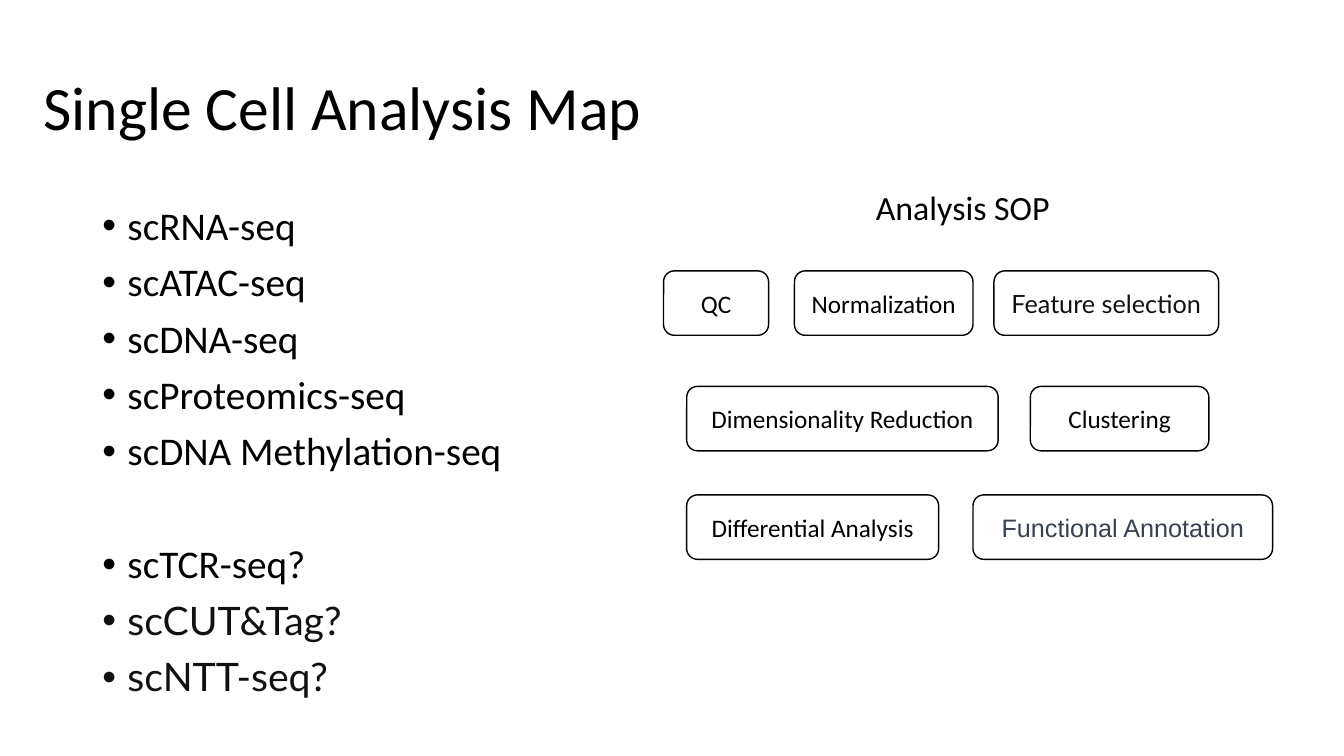
"""Build the Single Cell Analysis Map slide."""
from lxml import etree
from pptx import Presentation
from pptx.dml.color import RGBColor
from pptx.enum.shapes import MSO_SHAPE
from pptx.enum.text import MSO_ANCHOR, PP_ALIGN
from pptx.oxml.ns import qn
from pptx.util import Pt

ROUNDED = MSO_SHAPE.ROUNDED_RECTANGLE
TOP, MIDDLE = MSO_ANCHOR.TOP, MSO_ANCHOR.MIDDLE
CENTER = PP_ALIGN.CENTER
BLACK, WHITE = "000000", "FFFFFF"
BODY_FONT, ALT_FONT = "Calibri", "Lato"


def rgb(value):
    return RGBColor.from_string(value)


class Deck:
    def __init__(self):
        self.prs = Presentation()
        self.prs.slide_width, self.prs.slide_height = Pt(960), Pt(540)
        self.s = self.prs.slides.add_slide(self.prs.slide_layouts[6])

    def run(self, p, text, size, font=BODY_FONT, color=BLACK):
        r = p.add_run()
        r.text = text
        r.font.size = Pt(size)
        r.font.name = font
        r.font.color.rgb = rgb(color)

    def frame(self, x, y, w, h, anchor):
        tf = self.s.shapes.add_textbox(Pt(x), Pt(y), Pt(w), Pt(h)).text_frame
        tf.word_wrap = True
        tf.vertical_anchor = anchor
        return tf

    def text(self, x, y, w, h, text, size, spacing):
        p = self.frame(x, y, w, h, MIDDLE).paragraphs[0]
        p.line_spacing = spacing
        self.run(p, text, size)

    def bullets(self, x, y, w, h, items, size):
        tf = self.frame(x, y, w, h, TOP)
        for i, (text, before, font, color) in enumerate(items):
            p = tf.add_paragraph() if i else tf.paragraphs[0]
            p.line_spacing = 0.9
            p.space_before = Pt(before)
            pPr = p._p.get_or_add_pPr()
            pPr.set("marL", str(Pt(18)))
            pPr.set("indent", str(Pt(-18)))
            etree.SubElement(pPr, qn("a:buFont")).set("typeface", "Arial")
            etree.SubElement(pPr, qn("a:buChar")).set("char", "•")
            self.run(p, text, size, font, color)

    def box(self, x, y, w, h, text, font=BODY_FONT, color=BLACK):
        sp = self.s.shapes.add_shape(ROUNDED, Pt(x), Pt(y), Pt(w), Pt(h))
        sp.shadow.inherit = False
        sp.fill.solid()
        sp.fill.fore_color.rgb = rgb(WHITE)
        sp.line.color.rgb = rgb(BLACK)
        sp.line.width = Pt(1)
        tf = sp.text_frame
        tf.word_wrap = True
        tf.vertical_anchor = MIDDLE
        p = tf.paragraphs[0]
        p.alignment = CENTER
        self.run(p, text, 18, font, color)


METHODS = [
    ("scRNA-seq", 0, BODY_FONT, BLACK),
    ("scATAC-seq", 10, BODY_FONT, BLACK),
    ("scDNA-seq", 10, BODY_FONT, BLACK),
    ("scProteomics-seq", 10, BODY_FONT, BLACK),
    ("scDNA Methylation-seq", 10, BODY_FONT, BLACK),
    ("scTCR-seq?", 50.5, BODY_FONT, BLACK),
    ("scCUT&Tag?", 10, ALT_FONT, "111111"),
    ("scNTT-seq?", 10, ALT_FONT, "111111"),
]
STEP_ROWS = [
    (193.5, [(474, 75, "QC"), (567.5, 127.5, "Normalization"),
             (710, 160.5, "Feature selection", ALT_FONT, "121212")]),
    (276, [(490.5, 222.5, "Dimensionality Reduction"),
           (736, 127.5, "Clustering")]),
    (353.5, [(490.5, 180, "Differential Analysis"),
             (695, 214, "Functional Annotation", "Arial", "374151")]),
]


def main():
    deck = Deck()
    deck.text(24, 26.5, 828, 104.5, "Single Cell Analysis Map", 44, 0.9)
    deck.bullets(66, 144, 828, 383, METHODS, 28)
    deck.text(618.5, 131, 152, 40.5, "Analysis SOP", 24.2, 0.7)
    for y, steps in STEP_ROWS:
        for x, w, *label in steps:
            deck.box(x, y, w, 46, *label)
    deck.prs.save("out.pptx")


if __name__ == "__main__":
    main()
